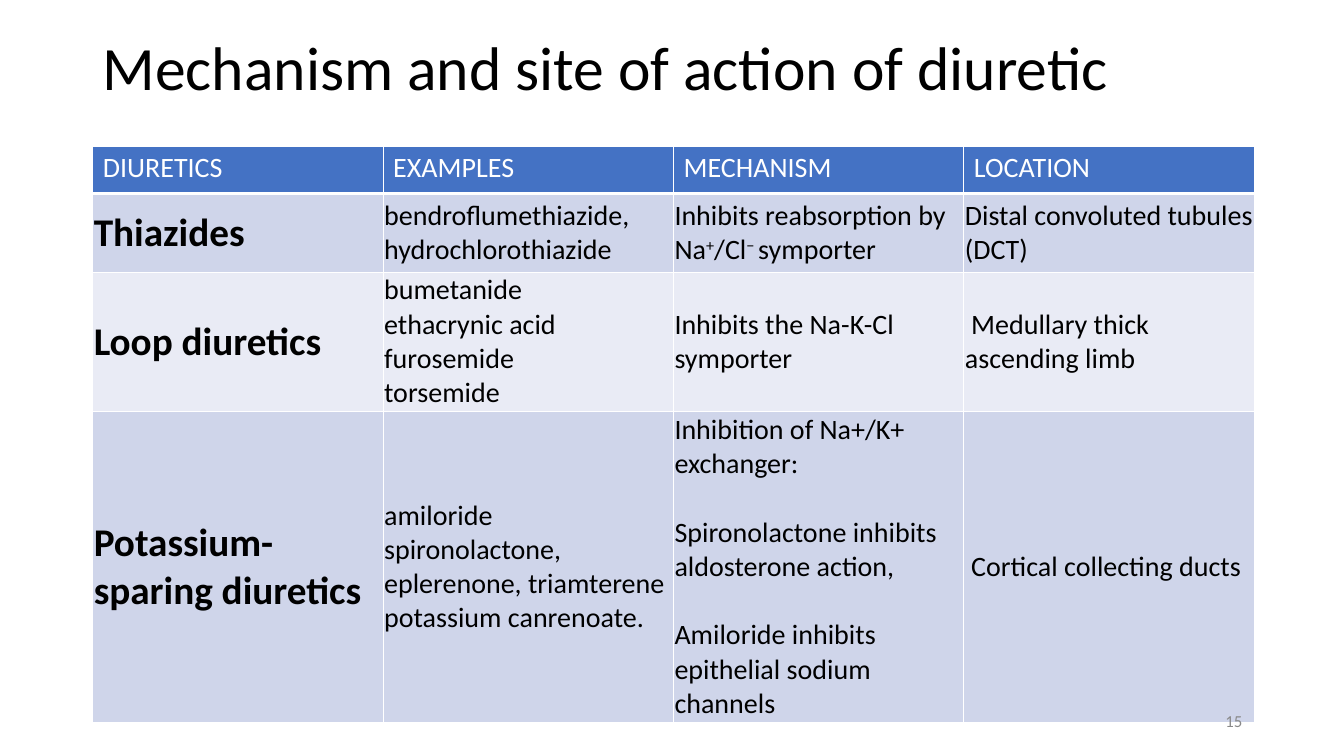
from lxml import etree
from pptx import Presentation
from pptx.dml.color import RGBColor
from pptx.enum.text import MSO_ANCHOR, PP_ALIGN
from pptx.oxml.ns import qn
from pptx.util import Inches, Pt

MIDDLE, TOP = MSO_ANCHOR.MIDDLE, MSO_ANCHOR.TOP
LEFT, RIGHT = PP_ALIGN.LEFT, PP_ALIGN.RIGHT

HEADER = ["DIURETICS", "EXAMPLES", "MECHANISM", "LOCATION"]
DRUG_CLASSES = [
    ["Thiazides",
     "bendroflumethiazide, hydrochlorothiazide",
     "Inhibits reabsorption by Na^+^/Cl^− ^symporter",
     "Distal convoluted tubules (DCT)"],
    ["Loop diuretics",
     "bumetanide\nethacrynic acid furosemide\ntorsemide",
     "Inhibits the Na-K-Cl symporter",
     " Medullary thick ascending limb"],
    ["Potassium-sparing diuretics",
     "amiloride spironolactone, eplerenone, triamterene potassium canrenoate.",
     "Inhibition of Na+/K+ exchanger:\nSpironolactone inhibits aldosterone action,\n"
     "Amiloride inhibits epithelial sodium channels",
     " Cortical collecting ducts"],
]
COL_WIDTH = 2.88
ROW_HEIGHTS = [0.47, 0.78, 1.38, 3.09]
ROW_FILLS = ["4472C4", "CFD5EA", "E9EBF5", "CFD5EA"]


def write(tf, text, size=20, color="000000", bold=False, align=LEFT, line=None, gap=0):
    """Fill a text frame: newlines part paragraphs, ^ marks enclose superscripts."""
    tf.word_wrap = True
    for i, para in enumerate(text.split("\n")):
        p = tf.paragraphs[0] if i == 0 else tf.add_paragraph()
        p.alignment = align
        if line:
            p.line_spacing = line
        if i and gap:
            p.space_before = Pt(gap)
        for j, piece in enumerate(para.split("^")):
            r = p.add_run()
            r.text = piece
            r.font.name = "Calibri"
            r.font.size = Pt(size)
            r.font.bold = bold
            r.font.color.rgb = RGBColor.from_string(color)
            if j % 2:
                r._r.get_or_add_rPr().set("baseline", "30000")


def style_cell(cell, fill, margins, bottom):
    """Set margins, white borders and fill; bottom is the lower border in points."""
    cell.margin_left = cell.margin_right = Inches(margins[0])
    cell.margin_top = cell.margin_bottom = Inches(margins[1])
    tcPr = cell._tc.get_or_add_tcPr()
    for side, width in (("L", 1), ("R", 1), ("T", 1), ("B", bottom)):
        ln = etree.SubElement(tcPr, qn(f"a:ln{side}"), w=str(Pt(width)))
        solid = etree.SubElement(ln, qn("a:solidFill"))
        etree.SubElement(solid, qn("a:srgbClr"), val="FFFFFF")
    cell.fill.solid()
    cell.fill.fore_color.rgb = RGBColor.from_string(fill)


prs = Presentation()
prs.slide_width, prs.slide_height = Inches(13.33), Inches(7.5)
s = prs.slides.add_slide(prs.slide_layouts[6])

title = s.shapes.add_textbox(Inches(0.92), Inches(0.15), Inches(11.5), Inches(1.1))
title.text_frame.vertical_anchor = MIDDLE
write(title.text_frame, "Mechanism and site of action of diuretic", size=44, line=0.9)

table = s.shapes.add_table(len(ROW_HEIGHTS), len(HEADER), Inches(0.92), Inches(1.45),
                           Inches(COL_WIDTH * len(HEADER)), Inches(sum(ROW_HEIGHTS))).table
table.first_row = table.horz_banding = False
for col in table.columns:
    col.width = Inches(COL_WIDTH)
for row, height in zip(table.rows, ROW_HEIGHTS):
    row.height = Inches(height)

for i, texts in enumerate([HEADER] + DRUG_CLASSES):
    for j, text in enumerate(texts):
        cell = table.cell(i, j)
        if i == 0:
            style_cell(cell, ROW_FILLS[i], (0.1, 0.05), bottom=3)
            cell.vertical_anchor = TOP
            write(cell.text_frame, text, color="FFFFFF")
        else:
            style_cell(cell, ROW_FILLS[i], (0.01, 0.01), bottom=1)
            cell.vertical_anchor = MIDDLE
            is_class = j == 0
            write(cell.text_frame, text, size=28 if is_class else 20, bold=is_class,
                  gap=24.4 if HEADER[j] == "MECHANISM" else 0)

number = s.shapes.add_textbox(Inches(9.42), Inches(6.95), Inches(3), Inches(0.4))
number.text_frame.vertical_anchor = MIDDLE
write(number.text_frame, "15", size=12, color="898989", align=RIGHT)

prs.save("out.pptx")
